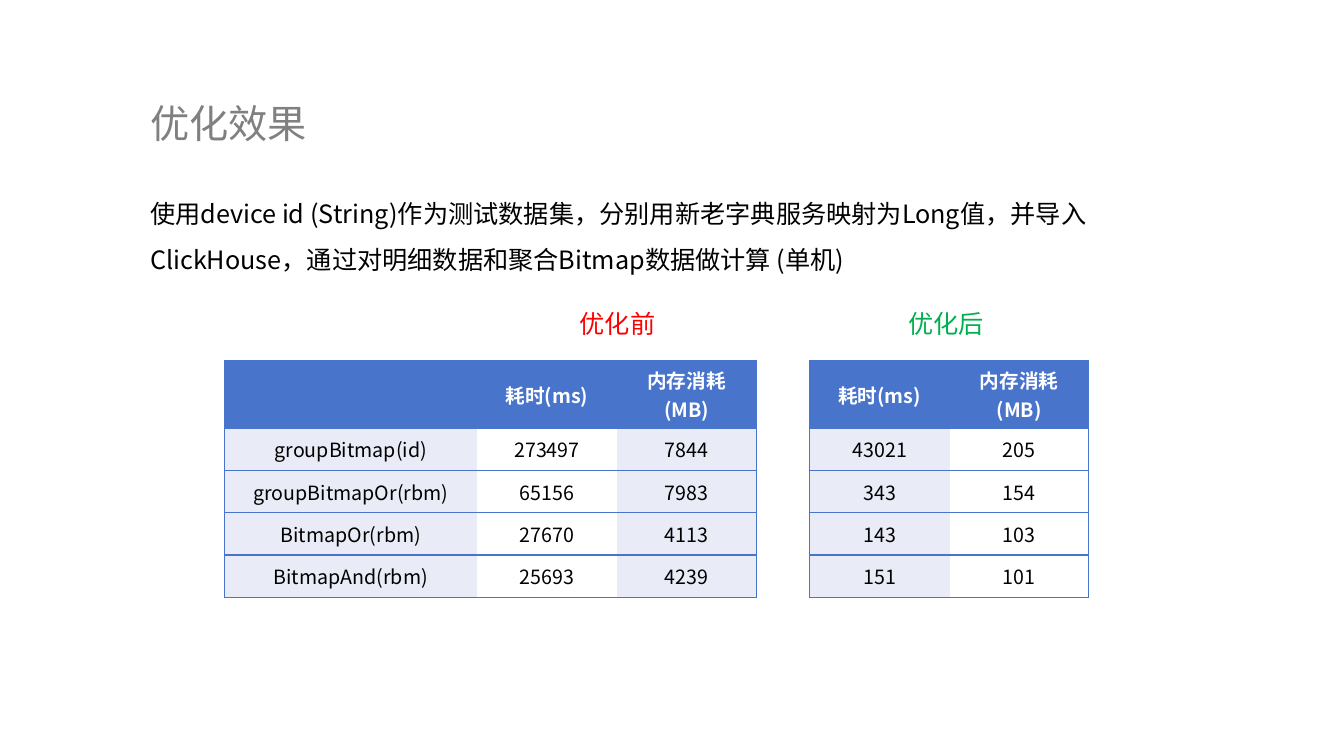
"""Build the slide comparing time and memory before and after optimisation."""
from lxml import etree
from pptx import Presentation
from pptx.dml.color import RGBColor
from pptx.enum.text import MSO_ANCHOR, MSO_AUTO_SIZE, PP_ALIGN
from pptx.oxml.ns import qn
from pptx.util import Inches, Pt

FONT = "Noto Sans CJK SC"
GREY = RGBColor(0x80, 0x80, 0x80)
BLACK = RGBColor(0x00, 0x00, 0x00)
WHITE = RGBColor(0xFF, 0xFF, 0xFF)
RED = RGBColor(0xFF, 0x00, 0x00)
GREEN = RGBColor(0x00, 0xB0, 0x50)
BLUE = RGBColor(0x48, 0x74, 0xCB)
PALE_BLUE = RGBColor(0xE9, 0xEB, 0xF6)
CENTER = PP_ALIGN.CENTER
MIDDLE, TOP = MSO_ANCHOR.MIDDLE, MSO_ANCHOR.TOP
FIT_TEXT, FIXED = MSO_AUTO_SIZE.SHAPE_TO_FIT_TEXT, MSO_AUTO_SIZE.NONE

ROW_HEIGHT = 0.42
LABEL_WIDTH, TIME_WIDTH, MEMORY_WIDTH = 2.5, 1.39, 1.38
TABLE_TOP = 3.58
CAPTION_TOP = 3.01
TABLE_FLAGS = {"first_row": False, "horz_banding": False}
METRICS = ["耗时(ms)", "内存消耗(MB)"]
OPERATIONS = ["groupBitmap(id)", "groupBitmapOr(rbm)", "BitmapOr(rbm)", "BitmapAnd(rbm)"]
BEFORE = [("273497", "7844"), ("65156", "7983"), ("27670", "4113"), ("25693", "4239")]
AFTER = [("43021", "205"), ("343", "154"), ("143", "103"), ("151", "101")]
SUMMARY = (
    "使用device id (String)作为测试数据集，分别用新老字典服务映射为Long值，"
    "并导入ClickHouse，通过对明细数据和聚合Bitmap数据做计算 (单机)"
)


def write(paragraph, words, size, color, bold=False):
    """Add one run in the slide font for Latin and Chinese characters."""
    run = paragraph.add_run()
    run.text = words
    for key, value in {"size": Pt(size), "bold": bold, "name": FONT}.items():
        setattr(run.font, key, value)
    run.font.color.rgb = color
    east_asian = etree.SubElement(run.font._element, qn("a:ea"))
    east_asian.set("typeface", FONT)


def add_text(slide, box, words, size, color, spacing=1.0, anchor=TOP, fit=FIT_TEXT):
    """Place a wrapped text block in the given box."""
    frame = slide.shapes.add_textbox(*map(Inches, box)).text_frame
    settings = {"word_wrap": True, "vertical_anchor": anchor, "auto_size": fit}
    for key, value in settings.items():
        setattr(frame, key, value)
    paragraph = frame.paragraphs[0]
    paragraph.line_spacing = spacing
    write(paragraph, words, size, color)


def add_borders(cell, is_first, is_last):
    """Draw the horizontal rules and the outer vertical edges of a cell."""
    properties = cell._tc.get_or_add_tcPr()
    edges = {"a:lnL": is_first, "a:lnR": is_last, "a:lnT": True, "a:lnB": True}
    for tag, visible in edges.items():
        line = etree.SubElement(properties, qn(tag), w=str(Pt(1)))
        if visible:
            fill = etree.SubElement(line, qn("a:solidFill"))
            etree.SubElement(fill, qn("a:srgbClr"), val=str(BLUE))
        else:
            etree.SubElement(line, qn("a:noFill"))


def add_results(slide, left, top, widths, rows):
    """Place a results table with a blue header and alternating columns."""
    box = map(Inches, (left, top, sum(widths), ROW_HEIGHT * len(rows)))
    table = slide.shapes.add_table(len(rows), len(widths), *box).table
    for key, value in TABLE_FLAGS.items():
        setattr(table, key, value)
    for column, width in zip(table.columns, widths):
        column.width = Inches(width)
    for row_index, values in enumerate(rows):
        table.rows[row_index].height = Inches(ROW_HEIGHT)
        is_header = row_index == 0
        for column_index, value in enumerate(values):
            cell = table.cell(row_index, column_index)
            add_borders(cell, column_index == 0, column_index == len(widths) - 1)
            body_fill = WHITE if column_index % 2 else PALE_BLUE
            cell.fill.solid()
            cell.fill.fore_color.rgb = BLUE if is_header else body_fill
            cell.vertical_anchor = MIDDLE
            paragraph = cell.text_frame.paragraphs[0]
            paragraph.alignment = CENTER
            if value:
                write(paragraph, value, 14, WHITE if is_header else BLACK, is_header)


def build_slide(slide):
    """Lay out the heading, summary, captions and both results tables."""
    add_text(slide, (1.39, 0.6, 11.07, 1.29), "优化效果", 28, GREY, 0.9, MIDDLE, FIXED)
    before_rows = [["", *METRICS]]
    before_rows += [[name, *values] for name, values in zip(OPERATIONS, BEFORE)]
    metric_widths = [TIME_WIDTH, MEMORY_WIDTH]
    add_results(slide, 2.23, TABLE_TOP, [LABEL_WIDTH, *metric_widths], before_rows)
    add_results(slide, 8.03, TABLE_TOP, metric_widths, [METRICS, *AFTER])
    for left, caption, color in [(5.65, "优化前", RED), (8.91, "优化后", GREEN)]:
        add_text(slide, (left, CAPTION_TOP, 1.01, 0.4), caption, 18, color)
    add_text(slide, (1.39, 1.77, 10.17, 1.01), SUMMARY, 18, BLACK, 1.5)


def main():
    """Create and save the presentation."""
    presentation = Presentation()
    presentation.slide_width = Inches(13.33)
    presentation.slide_height = Inches(7.5)
    build_slide(presentation.slides.add_slide(presentation.slide_layouts[6]))
    presentation.save("out.pptx")


if __name__ == "__main__":
    main()
